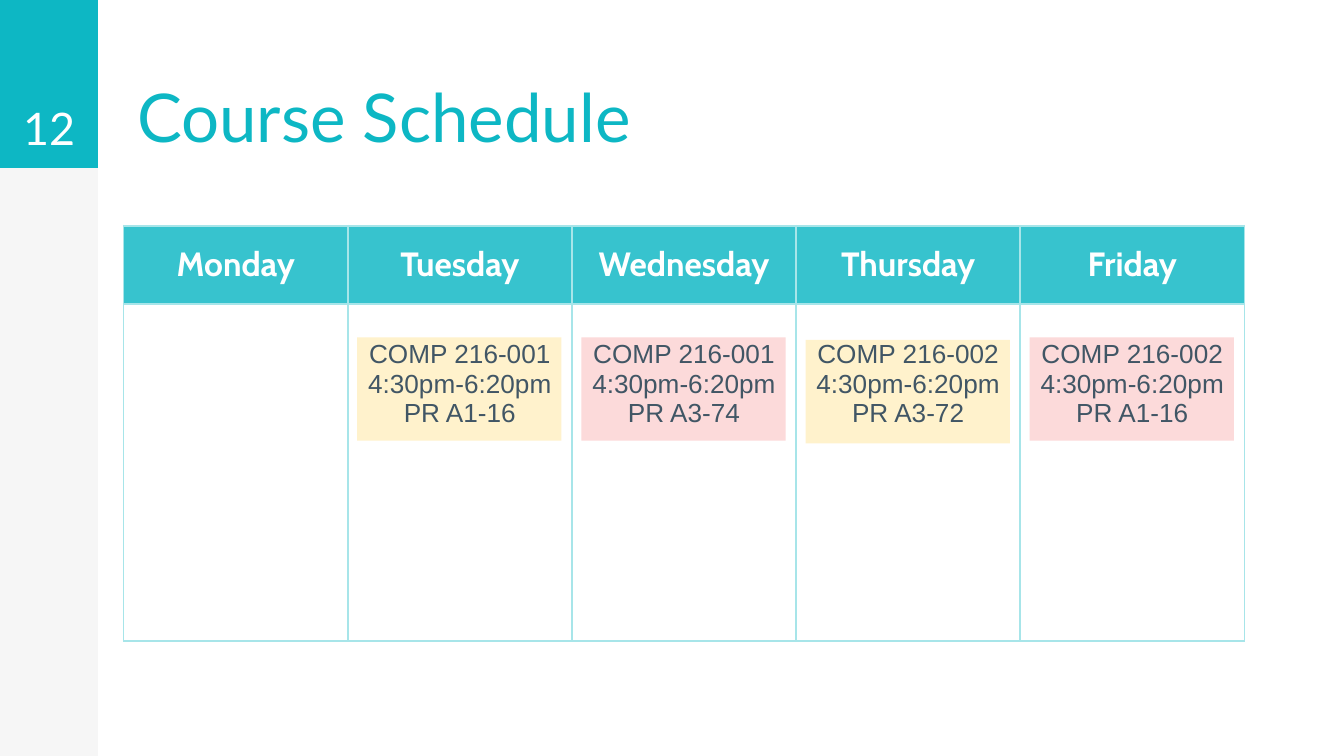
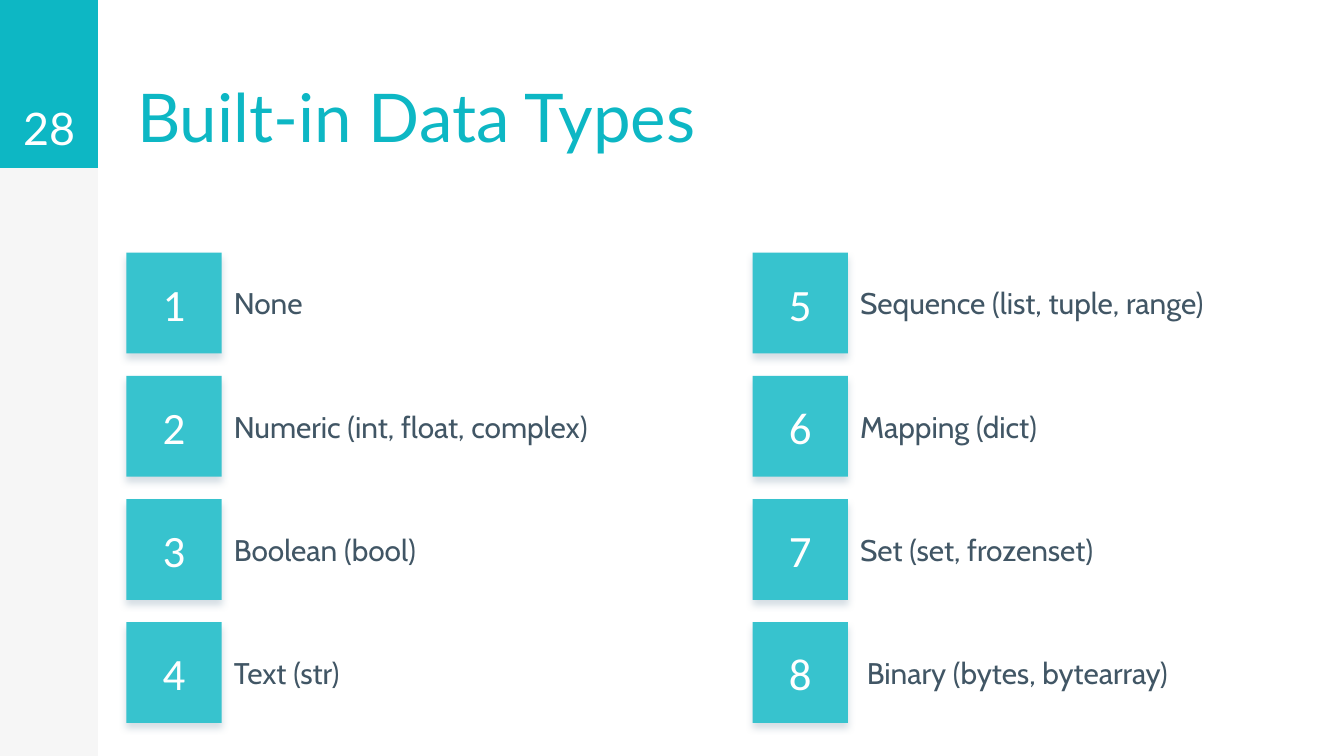
import pptx
import pptx.util
import pptx.oxml
from pptx.dml.color import RGBColor
from pptx.enum.shapes import MSO_SHAPE
from pptx.enum.text import MSO_ANCHOR, MSO_AUTO_SIZE, PP_ALIGN
from pptx.oxml.ns import nsdecls
from pptx.util import Inches

TEAL = RGBColor(0x0D, 0xB7, 0xC4)
LIGHT_TEAL = RGBColor(0x37, 0xC3, 0xCE)
PALE_TEAL = RGBColor(0xA7, 0xE5, 0xE9)
GREY = RGBColor(0xF6, 0xF6, 0xF6)
SLATE = RGBColor(0x41, 0x56, 0x65)
SHADOW = RGBColor(0x96, 0xAC, 0xBC)
YELLOW = RGBColor(0xFF, 0xF2, 0xCC)
PINK = RGBColor(0xFC, 0xDA, 0xDA)
WHITE = RGBColor(0xFF, 0xFF, 0xFF)

SLIDE_W = 10
SLIDE_H = SLIDE_W * 9 / 16
BAND_W, HEAD_H = 0.73, 1.25
LEFT, WIDTH = 0.92, 8.34

prs = pptx.Presentation()
prs.slide_width, prs.slide_height = Inches(SLIDE_W), Inches(SLIDE_H)


def add_rect(s, x, y, w, h, color):
    sp = s.shapes.add_shape(MSO_SHAPE.RECTANGLE, Inches(x), Inches(y), Inches(w), Inches(h))
    sp.shadow.inherit = False
    sp.fill.solid()
    sp.fill.fore_color.rgb = color
    sp.line.fill.background()
    return sp


def write(tf, text, size, font, color, align=PP_ALIGN.CENTER, bold=False):
    """Fill a text frame, one paragraph per line, in one style."""
    tf.text = text
    tf.word_wrap = True
    for p in tf.paragraphs:
        p.alignment = align
        p.font.size = pptx.util.Pt(size)
        p.font.name = font
        p.font.color.rgb = color
        p.font.bold = bold


# Side band, page number and title
slides = []
for title, number in [("Course Schedule", "12"), ("Built-in Data Types", "28")]:
    s = prs.slides.add_slide(prs.slide_layouts[5])
    add_rect(s, 0, 0, BAND_W, SLIDE_H, GREY)
    badge = add_rect(s, 0, 0, BAND_W, HEAD_H, TEAL)
    write(badge.text_frame, number, 24, "Lato", WHITE)

    sp = s.shapes.title
    sp.left, sp.top, sp.width, sp.height = Inches(LEFT), Inches(0.01), Inches(WIDTH), Inches(HEAD_H)
    write(sp.text_frame, title, 36, "Lato", TEAL, PP_ALIGN.LEFT)
    for tf in (badge.text_frame, sp.text_frame):
        tf.auto_size = MSO_AUTO_SIZE.NONE
        tf.vertical_anchor = MSO_ANCHOR.BOTTOM
        tf.margin_left = tf.margin_right = tf.margin_top = tf.margin_bottom = Inches(0.1)
    slides.append(s)

# Course schedule
s = slides[0]
schedule = [
    ("Monday", ""),
    ("Tuesday", "COMP 216-001\n4:30pm-6:20pm\nPR A1-16"),
    ("Wednesday", "COMP 216-001\n4:30pm-6:20pm\nPR A3-74"),
    ("Thursday", "COMP 216-002\n4:30pm-6:20pm\nPR A3-72"),
    ("Friday", "COMP 216-002\n4:30pm-6:20pm\nPR A1-16"),
]
col_w = WIDTH / len(schedule)
for day, y, color in [(1, 2.51, YELLOW), (3, 2.53, YELLOW), (4, 2.51, PINK), (2, 2.51, PINK)]:
    add_rect(s, LEFT + 0.07 + day * col_w, y, 1.52, 0.77, color)

row_heights = (0.58, 2.51)
table = s.shapes.add_table(2, len(schedule), Inches(LEFT), Inches(1.68),
                           Inches(WIDTH), Inches(sum(row_heights))).table
table.first_row = table.horz_banding = False
for row, height in zip(table.rows, row_heights):
    row.height = Inches(height)

for col, (day, course) in enumerate(schedule):
    header, body = table.cell(0, col), table.cell(1, col)
    for cell in (header, body):
        tc_pr = cell._tc.get_or_add_tcPr()
        for side in "LRTB":
            tc_pr.append(pptx.oxml.parse_xml(
                f'<a:ln{side} {nsdecls("a")} w="12700"><a:solidFill>'
                f'<a:srgbClr val="{PALE_TEAL}"/></a:solidFill></a:ln{side}>'))
    header.fill.solid()
    header.fill.fore_color.rgb = LIGHT_TEAL
    header.vertical_anchor = MSO_ANCHOR.MIDDLE
    write(header.text_frame, day, 18, "Cabin", WHITE, bold=True)
    body.fill.background()
    body.margin_top = Inches(0.27)
    write(body.text_frame, course, 14, "Arial", SLATE)

# Built-in data types
s = slides[1]
data_types = [
    "None", "Numeric (int, float, complex)", "Boolean (bool)", "Text (str)",
    "Sequence (list, tuple, range)", "Mapping (dict)", "Set (set, frozenset)",
    " Binary (bytes, bytearray)",
]
ROWS = 4
for i, name in enumerate(data_types):
    col, row = divmod(i, ROWS)
    x = 0.64 + col * 4.66
    y = 1.71 + row * 2.75 / (ROWS - 1)
    label = s.shapes.add_textbox(Inches(x), Inches(y), Inches(3.97), Inches(1.09))
    write(label.text_frame, name, 16, "Cabin", SLATE, PP_ALIGN.LEFT)
    label.text_frame.vertical_anchor = MSO_ANCHOR.MIDDLE
    label.text_frame.margin_left = Inches(1.1)

    square = add_rect(s, x + 0.3, y + 0.17, 0.71, 0.75, LIGHT_TEAL)
    write(square.text_frame, str(i + 1), 24, "Calibri", WHITE)
    square.text_frame.vertical_anchor = MSO_ANCHOR.MIDDLE
    effects = square._element.spPr.find(pptx.oxml.ns.qn("a:effectLst"))
    effects.append(pptx.oxml.parse_xml(
        f'<a:outerShdw {nsdecls("a")} blurRad="50800" dist="38100" dir="5400000" algn="t" rotWithShape="0">'
        f'<a:srgbClr val="{SHADOW}"><a:alpha val="40000"/></a:srgbClr></a:outerShdw>'))

prs.save("out.pptx")
